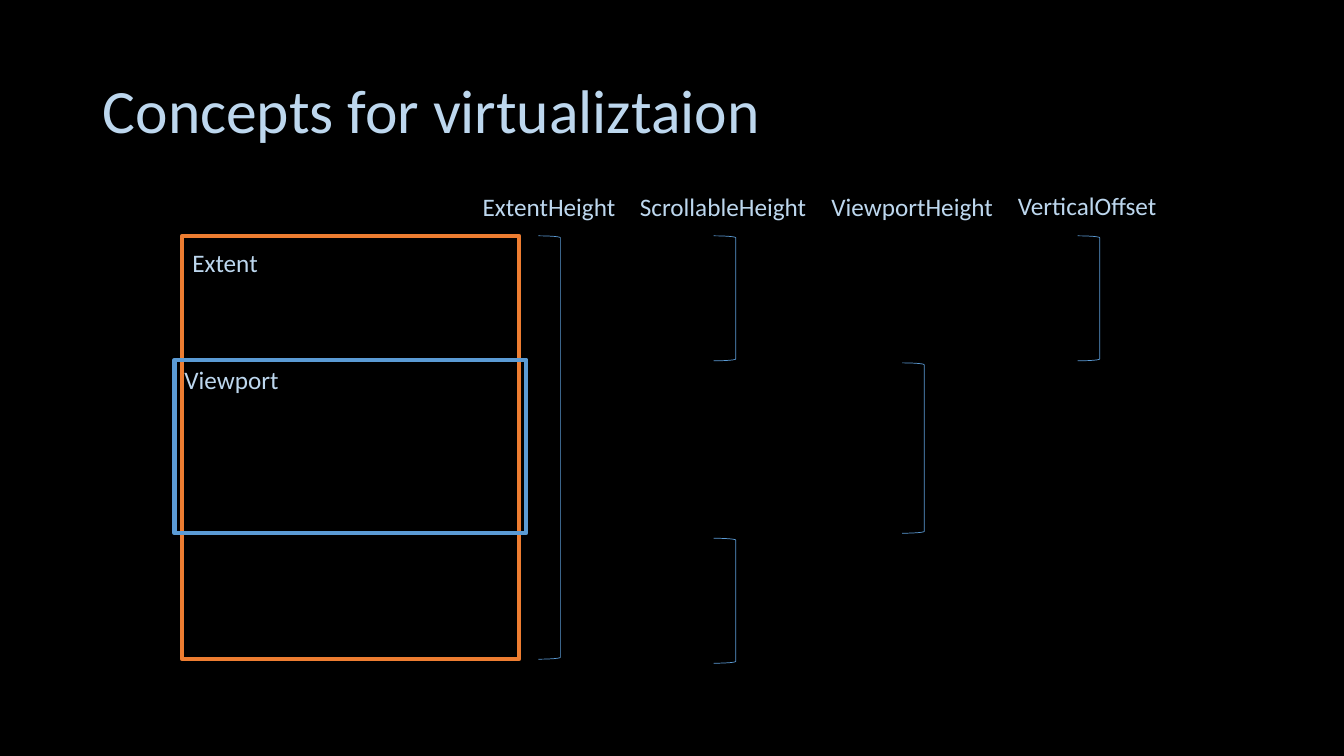
from typing import NamedTuple

from pptx import Presentation
from pptx.dml.color import RGBColor
from pptx.enum.shapes import MSO_SHAPE as Shape
from pptx.enum.text import MSO_ANCHOR as Anchor, MSO_AUTO_SIZE as Fit, PP_ALIGN as Align
from pptx.slide import Slide
from pptx.text.text import TextFrame
from pptx.util import Pt

BLACK, PALE, BLUE, ORANGE = "000000", "BDD7EE", "5B9BD5", "ED7D31"
FONT = "Calibri"
TOP = 168.5
FULL = 302.4
PART = 89.3


class Frame(NamedTuple):
    kind: Shape
    left: float
    top: float
    width: float
    height: float
    color: str
    weight: float


class Label(NamedTuple):
    text: str
    left: float
    top: float
    width: float


class Span(NamedTuple):
    left: float
    top: float
    height: float


BOXES = [
    Frame(Shape.RECTANGLE, 130.3, TOP, 240.5, FULL, ORANGE, 3),
    Frame(Shape.RECTANGLE, 124.6, 257, 251.3, 123.8, BLUE, 3),
]
LABELS = [
    Label("Viewport", 124.6, 257, 82.8),
    Label("Extent", 130.3, 172.8, 61.9),
    Label("ExtentHeight", 337.7, 133.2, 110.2),
    Label("ScrollableHeight", 450, 133.2, 134.6),
    Label("ViewportHeight", 586.8, 133.2, 131),
    Label("VerticalOffset", 720, 132.5, 114.5),
]
SPANS = [
    Span(384.5, TOP, FULL),
    Span(509.8, TOP, PART),
    Span(509.8, 384.5, PART),
    Span(644.4, 259.2, 121.7),
    Span(769.7, TOP, PART),
]


def rgb(code: str) -> RGBColor:
    return RGBColor.from_string(code)


def style(frame: TextFrame, size: float) -> None:
    para = frame.paragraphs[0]
    para.alignment = Align.LEFT
    font = para.runs[0].font
    font.name = FONT
    font.size = Pt(size)
    font.color.rgb = rgb(PALE)


def add_title(slide: Slide, text: str) -> None:
    title = slide.shapes.title
    title.left, title.top = Pt(66.2), Pt(28.8)
    title.width, title.height = Pt(828), Pt(104.4)
    frame = title.text_frame
    frame.text = text
    frame.vertical_anchor = Anchor.MIDDLE
    frame.paragraphs[0].line_spacing = 0.9
    style(frame, 44)


def add_frame(slide: Slide, item: Frame) -> None:
    shape = slide.shapes.add_shape(
        item.kind, Pt(item.left), Pt(item.top), Pt(item.width), Pt(item.height)
    )
    shape.shadow.inherit = False
    shape.fill.background()
    shape.line.color.rgb = rgb(item.color)
    shape.line.width = Pt(item.weight)


def add_label(slide: Slide, item: Label) -> None:
    box = slide.shapes.add_textbox(
        Pt(item.left), Pt(item.top), Pt(item.width), Pt(29)
    )
    frame = box.text_frame
    frame.text = item.text
    frame.word_wrap = False
    frame.auto_size = Fit.SHAPE_TO_FIT_TEXT
    style(frame, 18)


def main() -> None:
    deck = Presentation()
    deck.slide_width, deck.slide_height = Pt(960), Pt(540)
    slide = deck.slides.add_slide(deck.slide_layouts.get_by_name("Title Only"))
    fill = slide.background.fill
    fill.solid()
    fill.fore_color.rgb = rgb(BLACK)

    add_title(slide, "Concepts for virtualiztaion")
    for box in BOXES:
        add_frame(slide, box)
    for span in SPANS:
        add_frame(slide, Frame(
            Shape.RIGHT_BRACKET, span.left, span.top, 15.8, span.height, BLUE, 0.5
        ))
    for label in LABELS:
        add_label(slide, label)
    deck.save("out.pptx")


if __name__ == "__main__":
    main()
